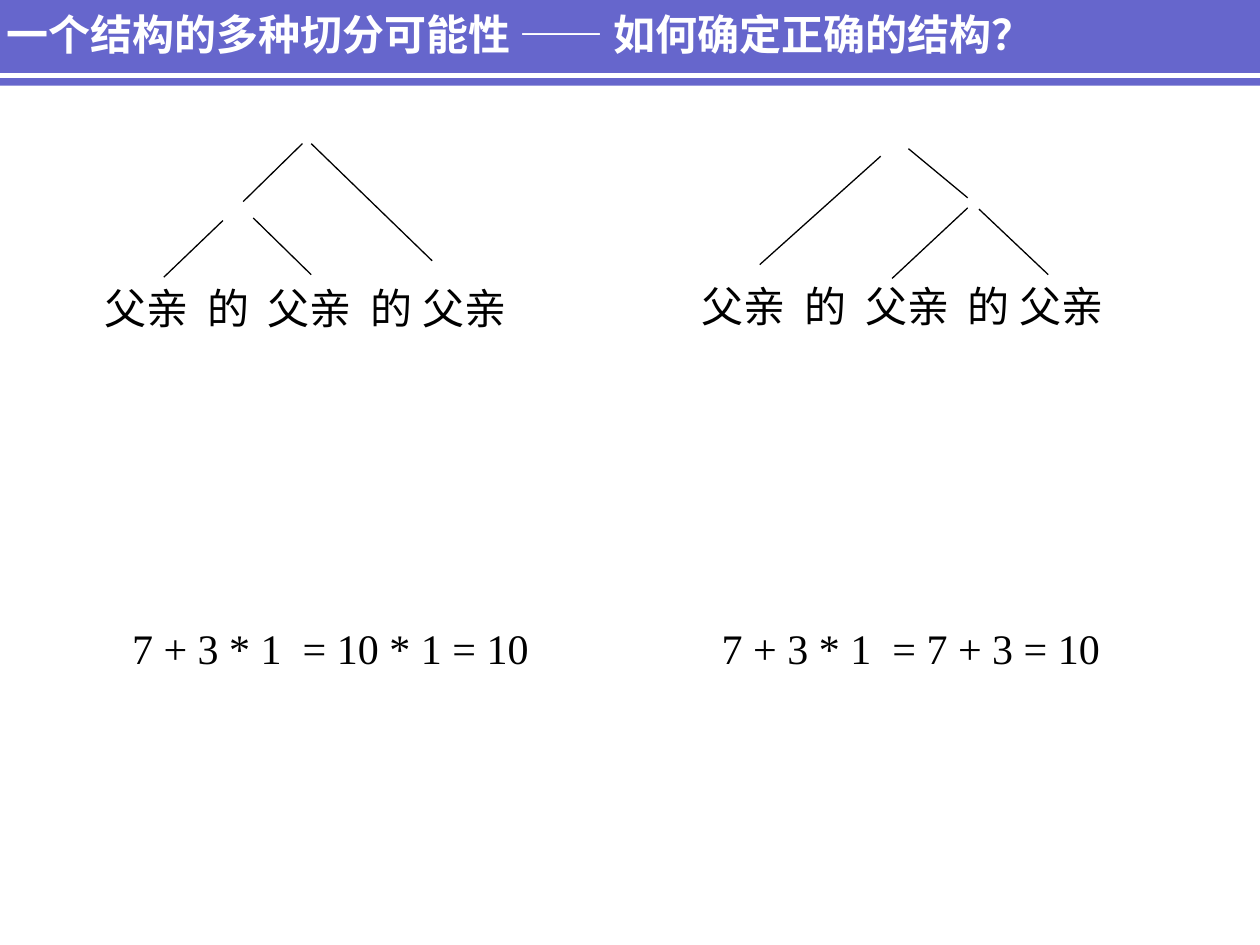
import pptx
import pptx.dml.color
import pptx.enum.shapes
import pptx.enum.text
import pptx.oxml.ns
import pptx.util
from lxml import etree

Inches = pptx.util.Inches
Pt = pptx.util.Pt
RGBColor = pptx.dml.color.RGBColor

VIOLET = RGBColor(0x66, 0x66, 0xCC)
WHITE = RGBColor(0xFF, 0xFF, 0xFF)
BLACK = RGBColor(0x00, 0x00, 0x00)
HAN_FONT = "Noto Sans CJK SC"
LATIN_FONT = "Times New Roman"


class SlideBuilder:
    """Holds the style and the slide being filled."""

    text_size = Pt(24)

    def __init__(self, slide):
        self.slide = slide

    def band(self, left, top, width, height):
        shape = self.slide.shapes.add_shape(
            pptx.enum.shapes.MSO_SHAPE.RECTANGLE,
            Inches(left), Inches(top), Inches(width), Inches(height))
        shape.shadow.inherit = False
        shape.fill.solid()
        shape.fill.fore_color.rgb = VIOLET
        shape.line.fill.background()

    def line(self, start, end, color=BLACK, weight=0.75):
        points = [Inches(value) for value in (*start, *end)]
        connector = self.slide.shapes.add_connector(
            pptx.enum.shapes.MSO_CONNECTOR.STRAIGHT, *points)
        connector.line.color.rgb = color
        connector.line.width = Pt(weight)
        etree.SubElement(connector._element.spPr, pptx.oxml.ns.qn("a:effectLst"))

    def text(self, words, left, top, width=3.7, height=0.5,
             font=LATIN_FONT, color=BLACK, bold=False):
        box = self.slide.shapes.add_textbox(
            Inches(left), Inches(top), Inches(width), Inches(height))
        frame = box.text_frame
        frame.word_wrap = True
        frame.vertical_anchor = pptx.enum.text.MSO_ANCHOR.TOP
        frame.text = words
        for span in frame.paragraphs[0].runs:
            span.font.size = self.text_size
            span.font.name = font
            span.font.bold = bold
            span.font.color.rgb = color
            east_asian = etree.SubElement(
                span.font._element, pptx.oxml.ns.qn("a:ea"))
            east_asian.set("typeface", HAN_FONT)


def main():
    deck = pptx.Presentation()
    deck.slide_width = Inches(10)
    deck.slide_height = Inches(7.5)
    page = SlideBuilder(deck.slides.add_slide(deck.slide_layouts[6]))

    page.band(-0.04, -0.03, 10.04, 0.71)
    page.line((-0.04, 0.6), (10, 0.6), WHITE, 3)
    page.text("一个结构的多种切分可能性 —— 如何确定正确的结构？",
              -0.05, 0.02, 9.93, 0.73, HAN_FONT, WHITE, True)

    phrase = "父亲  的  父亲  的 父亲"
    for words, left, top in [
        (phrase, 0.73, 2.19),
        (phrase, 5.47, 2.18),
        ("7 + 3 * 1  = 10 * 1 = 10", 0.95, 4.89),
        ("7 + 3 * 1  = 7 + 3 = 10", 5.63, 4.89),
    ]:
        page.text(words, left, top)

    left_tree = [
        ((1.3, 2.2), (1.77, 1.75)),
        ((2.01, 1.73), (2.47, 2.18)),
        ((1.93, 1.6), (2.4, 1.14)),
        ((2.47, 1.14), (3.43, 2.07)),
    ]
    right_tree = [
        ((6.03, 2.1), (6.99, 1.24)),
        ((7.68, 1.65), (7.08, 2.21)),
        ((7.21, 1.18), (7.68, 1.57)),
        ((7.77, 1.66), (8.32, 2.18)),
    ]
    for start, end in left_tree + right_tree:
        page.line(start, end)

    deck.save("out.pptx")


if __name__ == "__main__":
    main()
